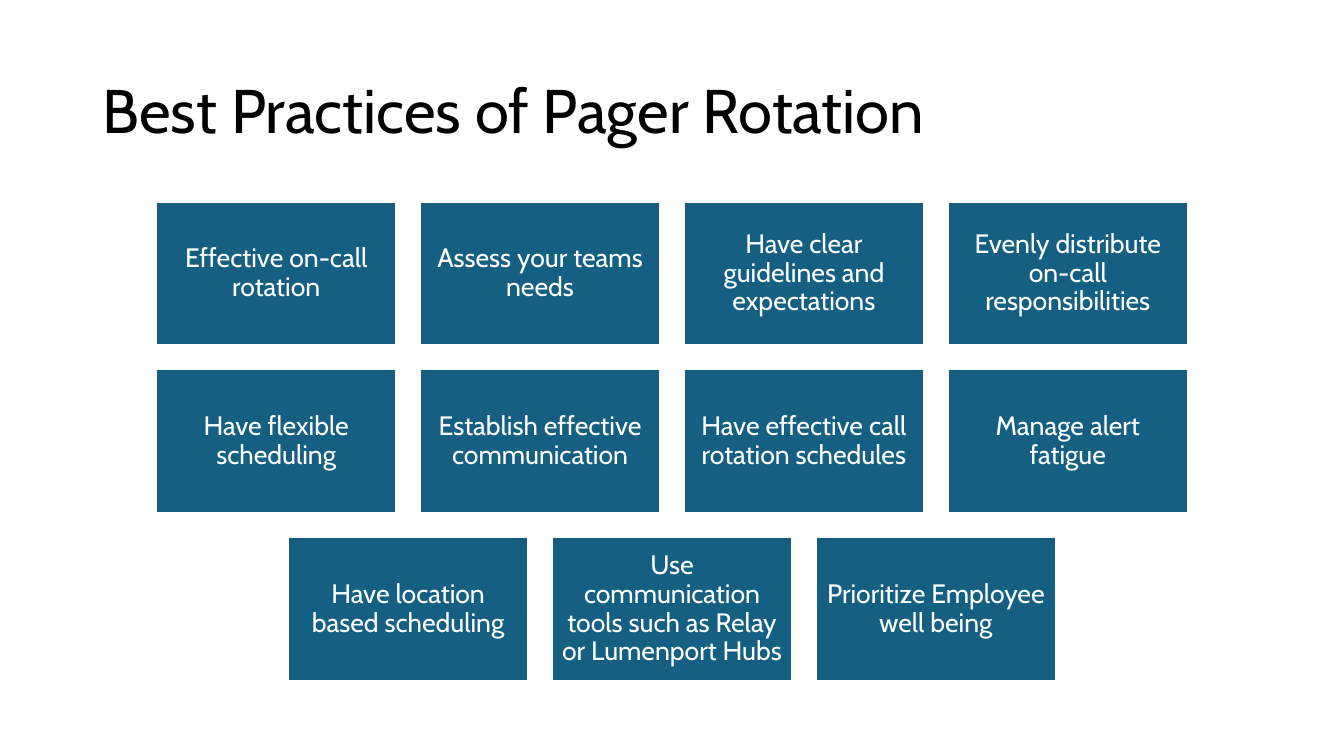
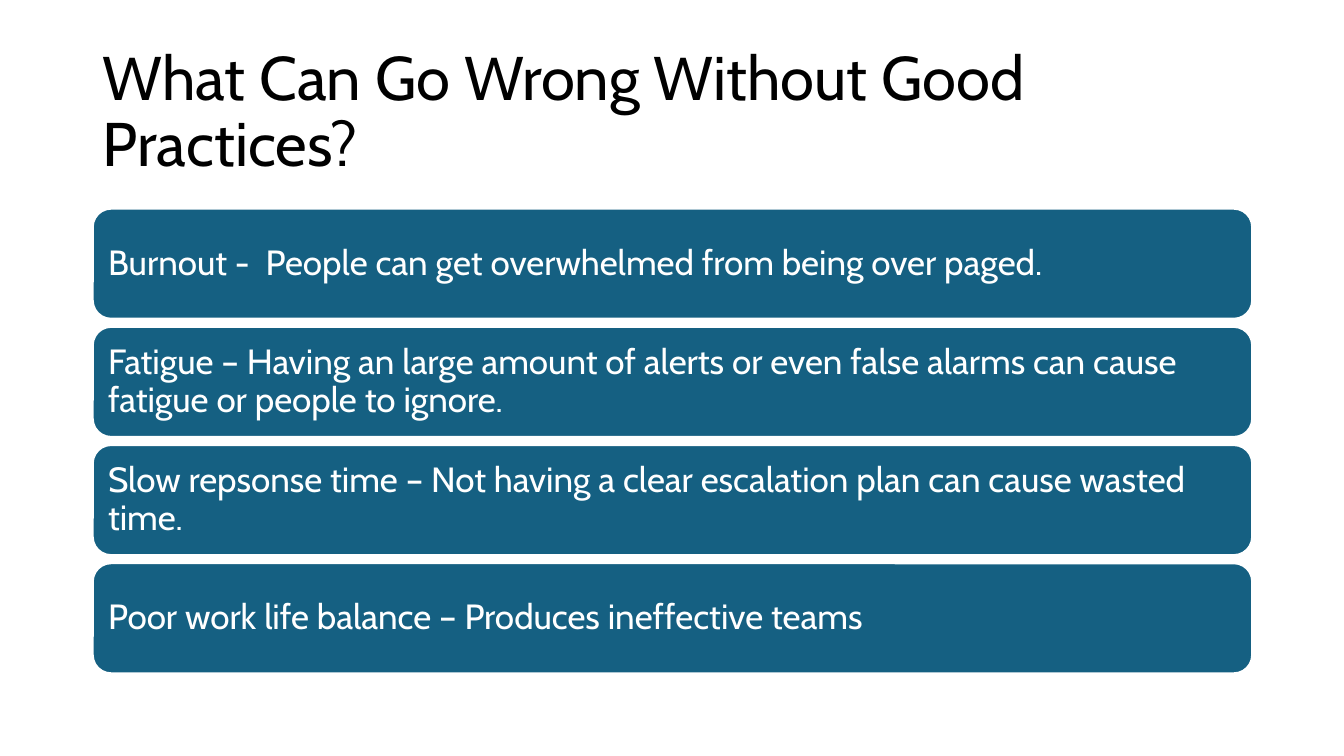
from pptx import Presentation
from pptx.dml.color import RGBColor
from pptx.enum.shapes import MSO_SHAPE
from pptx.enum.text import MSO_ANCHOR, PP_ALIGN
from pptx.util import Inches, Pt

RECTANGLE = MSO_SHAPE.RECTANGLE
ROUNDED = MSO_SHAPE.ROUNDED_RECTANGLE
MIDDLE = MSO_ANCHOR.MIDDLE
LEFT, CENTER = PP_ALIGN.LEFT, PP_ALIGN.CENTER

COLORS = {"title": "000000", "panel": "156082", "panel_text": "FFFFFF", "outline": "FFFFFF"}
FONT = "Cabin"
LINE_SPACING = 0.9

# Boxes are left, top, width, height in inches
TITLE_BOX = (0.92, 0.4, 11.5, 1.45)
GRID_BOX = (1.55, 2, 10.23, 4.76)
BANDS_BOX = (0.92, 2.07, 11.5, 4.61)

PRACTICES = [
    "Effective on-call rotation",
    "Assess your teams needs",
    "Have clear guidelines and expectations",
    "Evenly distribute on-call responsibilities",
    "Have flexible scheduling",
    "Establish effective communication",
    "Have effective call rotation schedules",
    "Manage alert fatigue",
    "Have location based scheduling",
    "Use communication tools such as Relay or Lumenport Hubs",
    "Prioritize Employee well being",
]
RISKS = [
    "Burnout -  People can get overwhelmed from being over paged.",
    "Fatigue – Having an large amount of alerts or even false alarms can cause "
    "fatigue or people to ignore.",
    "Slow repsonse time – Not having a clear escalation plan can cause wasted time.",
    "Poor work life balance – Produces ineffective teams",
]


def color(name):
    return RGBColor.from_string(COLORS[name])


def write_text(shape, text, size, color_name, alignment):
    text_frame = shape.text_frame
    text_frame.word_wrap = True
    text_frame.vertical_anchor = MIDDLE
    text_frame.text = text
    paragraph = text_frame.paragraphs[0]
    paragraph.alignment = alignment
    paragraph.line_spacing = LINE_SPACING
    font = paragraph.runs[0].font
    font.name = FONT
    font.size = Pt(size)
    font.color.rgb = color(color_name)


def add_titled_slide(presentation, title):
    slide = presentation.slides.add_slide(presentation.slide_layouts[6])
    shape = slide.shapes.add_textbox(*map(Inches, TITLE_BOX))
    write_text(shape, title, 44, "title", LEFT)
    return slide


def add_panel(slide, preset, box, text, size, alignment, inset):
    shape = slide.shapes.add_shape(preset, *map(Inches, box))
    shape.shadow.inherit = False
    shape.fill.solid()
    shape.fill.fore_color.rgb = color("panel")
    shape.line.color.rgb = color("outline")
    shape.line.width = Pt(1.5)
    text_frame = shape.text_frame
    text_frame.margin_left = text_frame.margin_right = Inches(inset)
    text_frame.margin_top = text_frame.margin_bottom = Inches(inset)
    write_text(shape, text, size, "panel_text", alignment)


def add_tile_grid(slide, box, texts, columns=4):
    """Fill rows of tiles with gaps a tenth of a tile wide; centre a short last row."""
    left, top, width, _ = box
    tile_width = width / (columns + 0.1 * (columns - 1))
    tile_height = 0.6 * tile_width
    gap = 0.1 * tile_width
    for start in range(0, len(texts), columns):
        row_texts = texts[start:start + columns]
        row_width = len(row_texts) * (tile_width + gap) - gap
        row_left = left + (width - row_width) / 2
        row_top = top + start // columns * (tile_height + gap)
        for column, text in enumerate(row_texts):
            tile_left = row_left + column * (tile_width + gap)
            tile_box = (tile_left, row_top, tile_width, tile_height)
            add_panel(slide, RECTANGLE, tile_box, text, 19, CENTER, 0.08)


def add_band_stack(slide, box, texts, gap=0.08):
    left, top, width, height = box
    band_height = (height - gap * (len(texts) - 1)) / len(texts)
    for index, text in enumerate(texts):
        band_box = (left, top + index * (band_height + gap), width, band_height)
        add_panel(slide, ROUNDED, band_box, text, 25, LEFT, 0.1)


def main():
    presentation = Presentation()
    presentation.slide_width = Inches(13.33)
    presentation.slide_height = Inches(7.5)

    practices_slide = add_titled_slide(presentation, "Best Practices of Pager Rotation")
    add_tile_grid(practices_slide, GRID_BOX, PRACTICES)

    risks_slide = add_titled_slide(presentation, "What Can Go Wrong Without Good Practices?")
    add_band_stack(risks_slide, BANDS_BOX, RISKS)

    presentation.save("out.pptx")


if __name__ == "__main__":
    main()
